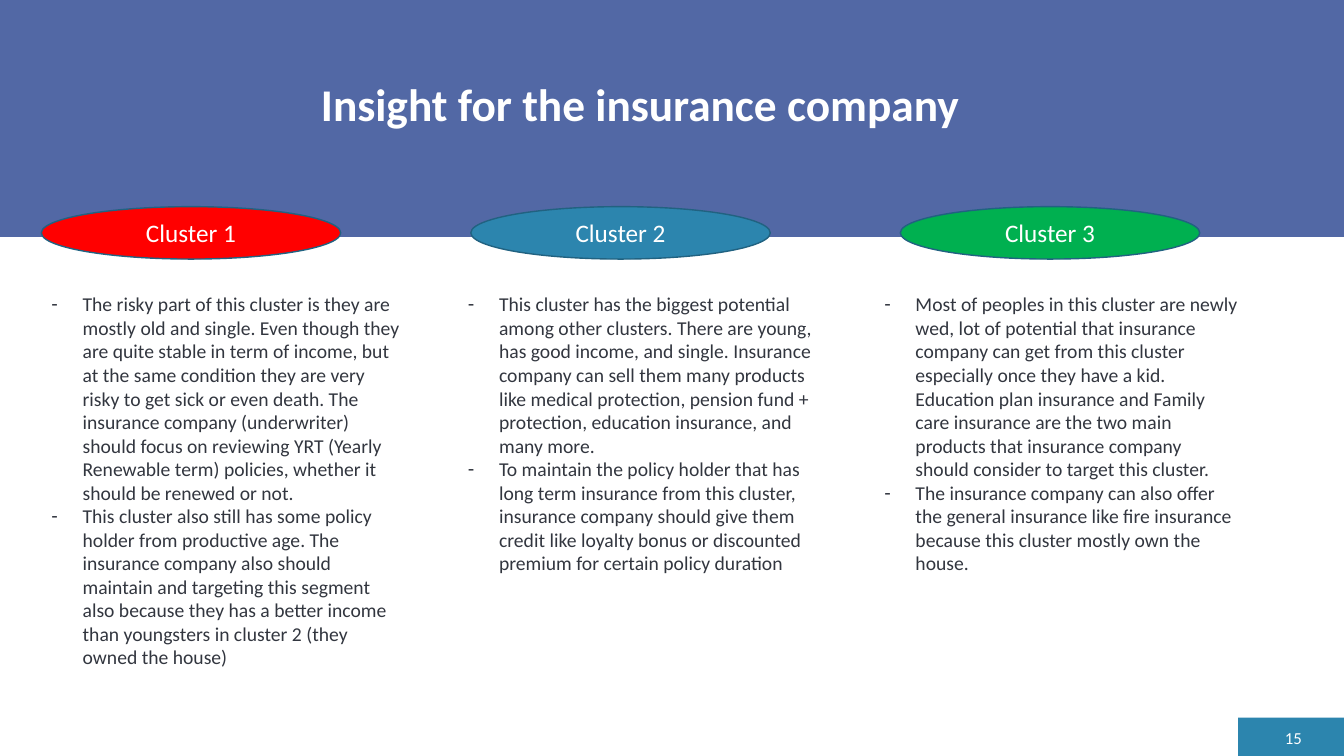
from pptx import Presentation
from pptx.dml.color import RGBColor
from pptx.enum.shapes import MSO_SHAPE
from pptx.enum.text import MSO_ANCHOR, MSO_AUTO_SIZE, PP_ALIGN
from pptx.oxml import parse_xml
from pptx.oxml.ns import nsdecls
from pptx.util import Inches, Pt


def style(para, size, color, align, bold=False):
    para.alignment = align
    for run in para.runs:
        font = run.font
        font.name, font.size, font.bold = "Calibri", Pt(size), bold
        font.color.rgb = RGBColor.from_string(color)


def draw(kind, box, fill, edge=None):
    shape = slide.shapes.add_shape(kind, *map(Inches, box))
    shape.shadow.inherit = False
    shape.fill.solid()
    shape.fill.fore_color.rgb = RGBColor.from_string(fill)
    if edge:
        shape.line.color.rgb = RGBColor.from_string(edge)
        shape.line.width = Pt(1)
    else:
        shape.line.fill.background()
    return shape


WHITE, INK, TEAL, BLUE, EDGE = "FFFFFF", "32363F", "2C85AE", "5268A5", "216281"

clusters = [
    ("Cluster 1", "FF0000", 4.58, [
        "The risky part of this cluster is they are mostly old and single. "
        "Even though they are quite stable in term of income, but at the same "
        "condition they are very risky to get sick or even death. The insurance "
        "company (underwriter) should focus on reviewing YRT (Yearly Renewable "
        "term) policies, whether it should be renewed or not.",
        "This cluster also still has some policy holder from productive age. "
        "The insurance company also should maintain and targeting this segment "
        "also because they has a better income than youngsters in cluster 2 "
        "(they owned the house)"]),
    ("Cluster 2", TEAL, 3.64, [
        "This cluster has the biggest potential among other clusters. There are "
        "young, has good income, and single. Insurance company can sell them "
        "many products like medical protection, pension fund + protection, "
        "education insurance, and many more.",
        "To maintain the policy holder that has long term insurance from this "
        "cluster, insurance company should give them credit like loyalty bonus "
        "or discounted premium for certain policy duration"]),
    ("Cluster 3", "00B050", 3.64, [
        "Most of peoples in this cluster are newly wed, lot of potential that "
        "insurance company can get from this cluster especially once they have "
        "a kid. Education plan insurance and Family care insurance are the two "
        "main products that insurance company should consider to target this "
        "cluster.",
        "The insurance company can also offer the general insurance like fire "
        "insurance because this cluster mostly own the house."]),
]

# Slide with a title and several body placeholders
deck = Presentation()
deck.slide_width, deck.slide_height = Inches(13.33), Inches(7.5)
slide = deck.slides.add_slide(deck.slide_layouts[4])
title, *bodies = slide.placeholders
for spare in bodies[len(clusters):]:
    spare.element.getparent().remove(spare.element)

# Header band and page corner, behind the text
for box, fill in (((12.28, 7.12, 1.05, 0.38), TEAL), ((0, 0, 13.33, 2.35), BLUE)):
    title.element.addprevious(draw(MSO_SHAPE.RECTANGLE, box, fill).element)

# Title
title.left, title.top = Inches(2.97), Inches(0.64)
title.width, title.height = Inches(6.86), Inches(0.83)
frame = title.text_frame
frame.text = "Insight for the insurance company "
frame.auto_size = MSO_AUTO_SIZE.NONE
frame.vertical_anchor = MSO_ANCHOR.MIDDLE
frame.paragraphs[0].line_spacing = 0.9
style(frame.paragraphs[0], 32.4, WHITE, PP_ALIGN.CENTER, True)

# Page number
page = slide.shapes.add_textbox(Inches(12.6), Inches(7.2), Inches(0.41), Inches(0.23))
frame = page.text_frame
frame.text = "15"
frame.word_wrap = True
frame.vertical_anchor = MSO_ANCHOR.MIDDLE
frame.margin_top = frame.margin_bottom = 0
style(frame.paragraphs[0], 12, WHITE, PP_ALIGN.RIGHT)

# Cluster columns: dashed list and oval label
for col, (name, fill, tall, points) in enumerate(clusters):
    body = bodies[col]
    body.left, body.top = Inches(0.41 + 4.13 * col), Inches(2.62)
    body.width, body.height = Inches(3.72), Inches(tall)
    frame = body.text_frame
    frame.text = "\n".join(points)
    frame.auto_size = MSO_AUTO_SIZE.NONE
    frame.vertical_anchor = MSO_ANCHOR.TOP
    frame.margin_top = Inches(0.28)
    for para in frame.paragraphs:
        style(para, 14, INK, PP_ALIGN.LEFT)
        para.space_before = Pt(0)
        props = para._p.get_or_add_pPr()
        props.set("marL", str(Inches(0.31)))
        props.set("indent", str(Inches(-0.31)))
        props.append(parse_xml(f'<a:buChar {nsdecls("a")} char="-"/>'))

    oval = draw(MSO_SHAPE.OVAL, (0.41 + 4.26 * col, 2.05, 2.97, 0.52), fill, EDGE)
    oval.text_frame.text = name
    oval.text_frame.vertical_anchor = MSO_ANCHOR.MIDDLE
    style(oval.text_frame.paragraphs[0], 18, WHITE, PP_ALIGN.CENTER)

deck.save("out.pptx")
